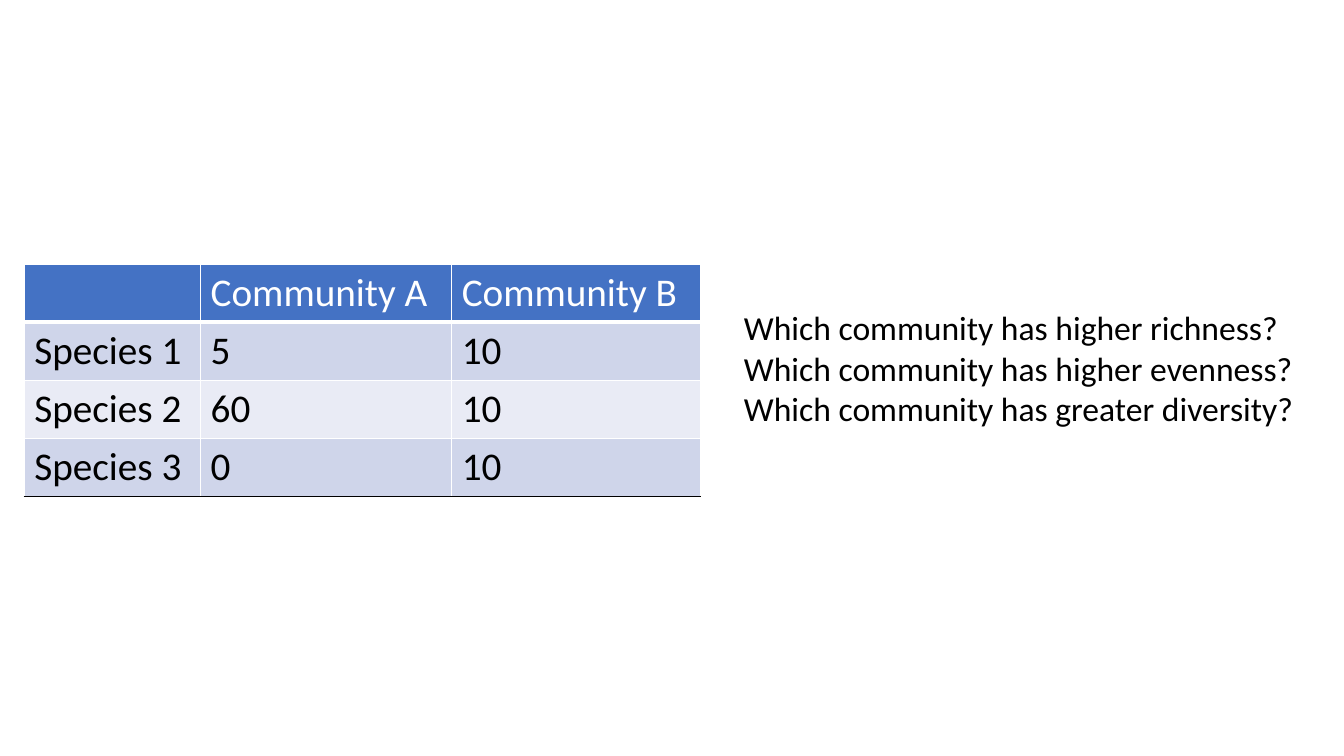
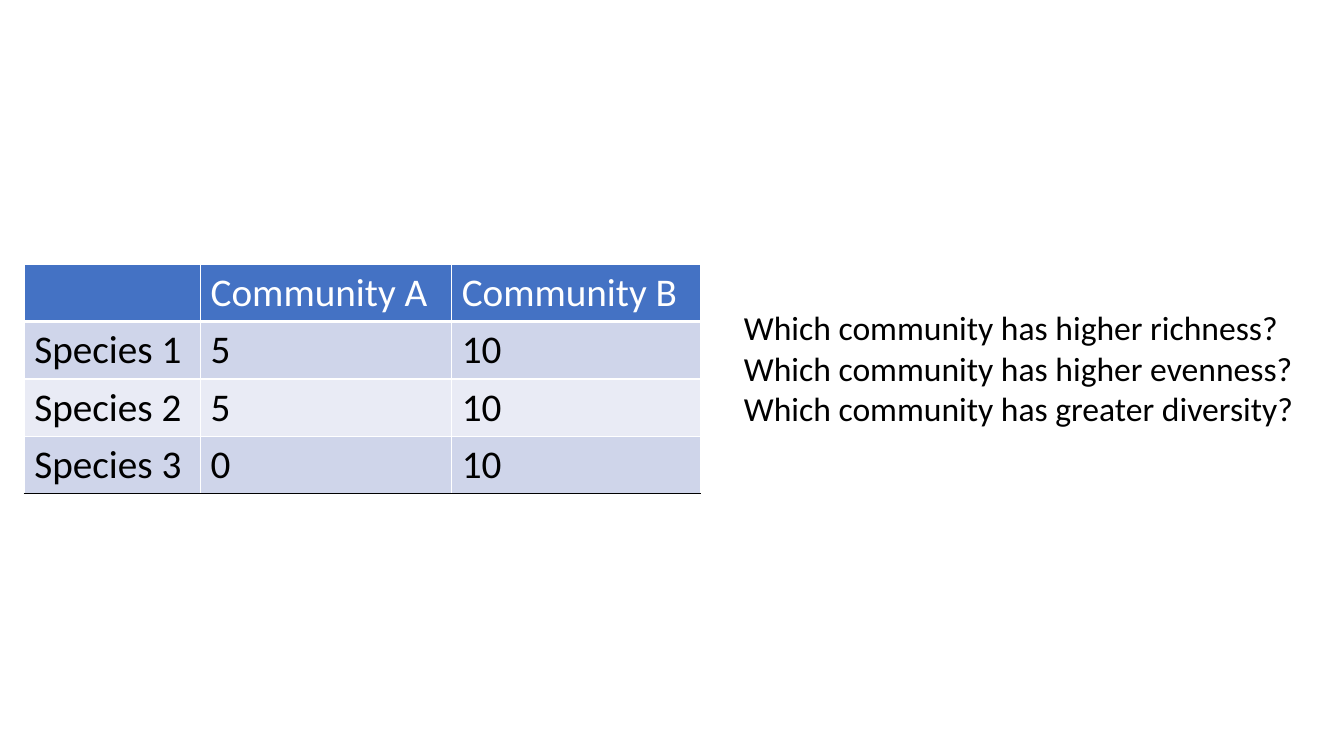
import pptx
import pptx.util
import pptx.dml.color
import pptx.enum.text
import lxml.etree
import pptx.oxml.ns

Inches = pptx.util.Inches
Pt = pptx.util.Pt
RGBColor = pptx.dml.color.RGBColor

# Shared style
FONT = "Calibri"
WHITE = RGBColor(0xFF, 0xFF, 0xFF)
BLACK = RGBColor(0x00, 0x00, 0x00)
BLUE = RGBColor(0x44, 0x72, 0xC4)
BANDS = (RGBColor(0xE9, 0xEB, 0xF5), RGBColor(0xCF, 0xD5, 0xEA))

# Shared layout and wording
GRID = (0.24, 2.62)
COLS = (1.75, 2.49, 2.47)
ROW = 0.57
ASK = (7.28, 3, 5.7, 1.31)
HEADS = ("", "Community A", "Community B")
QUERIES = (
    "Which community has higher richness?",
    "Which community has higher evenness?",
    "Which community has greater diversity?",
)

# Species counts of communities A and B, one list for each slide
COUNTS = (
    ((5, 10), (60, 10), (0, 10)),
    ((5, 10), (5, 10), (0, 10)),
)


def style(para, size, color):
    para.font.name = FONT
    para.font.size = Pt(size)
    para.font.color.rgb = color


def border(cell, side, color, width):
    qn = pptx.oxml.ns.qn
    props = cell._tc.get_or_add_tcPr()
    line = lxml.etree.SubElement(props, qn("a:ln" + side), w=str(Pt(width)))
    fill = lxml.etree.SubElement(line, qn("a:solidFill"))
    lxml.etree.SubElement(fill, qn("a:srgbClr"), val=str(color))


def grid(slide, box, counts):
    """Banded species table with a header row."""
    rows = [HEADS]
    rows += [(f"Species {n}", *pair) for n, pair in enumerate(counts, 1)]
    left, top = box
    frame = slide.shapes.add_table(
        len(rows), len(COLS), Inches(left), Inches(top),
        Inches(sum(COLS)), Inches(ROW * len(rows)))
    table = frame.table
    for col, width in zip(table.columns, COLS):
        col.width = Inches(width)
    for r, row in enumerate(rows):
        table.rows[r].height = Inches(ROW)
        head, last = r == 0, r == len(rows) - 1
        for c, value in enumerate(row):
            cell = table.cell(r, c)
            # Borders go before the fill
            for side in "LRT":
                border(cell, side, WHITE, 1)
            border(cell, "B", BLACK if last else WHITE, 3 if head else 1)
            cell.fill.solid()
            cell.fill.fore_color.rgb = BLUE if head else BANDS[r % 2]
            cell.text_frame.text = str(value)
            style(cell.text_frame.paragraphs[0], 28, WHITE if head else BLACK)


def ask(slide, box):
    """Questions beside the table."""
    frame = slide.shapes.add_textbox(*map(Inches, box)).text_frame
    frame.word_wrap = False
    frame.auto_size = pptx.enum.text.MSO_AUTO_SIZE.SHAPE_TO_FIT_TEXT
    frame.text = "\n".join(QUERIES)
    for para in frame.paragraphs:
        style(para, 24, BLACK)


def main():
    deck = pptx.Presentation()
    deck.slide_width = Inches(13.33)
    deck.slide_height = Inches(7.5)
    for counts in COUNTS:
        slide = deck.slides.add_slide(deck.slide_layouts[6])
        grid(slide, GRID, counts)
        ask(slide, ASK)
    deck.save("out.pptx")


if __name__ == "__main__":
    main()
